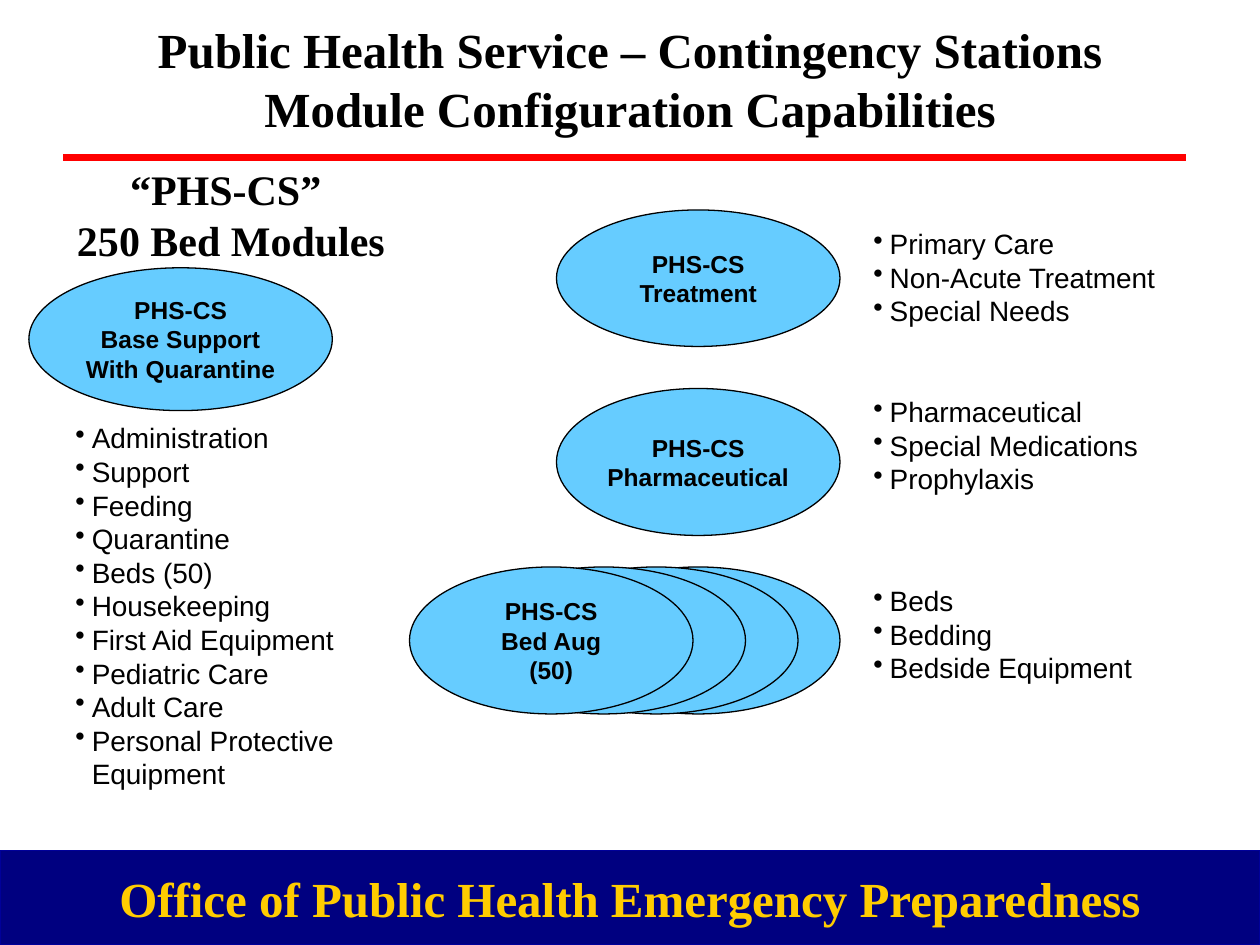
import pptx
import pptx.dml.color
import pptx.enum.shapes
import pptx.enum.text
import pptx.oxml.ns
import pptx.util
from lxml import etree

COLS, ROWS = 120, 90
WIDE, HIGH = pptx.util.Inches(10), pptx.util.Inches(7.5)
SERIF, SANS = "Times New Roman", "Arial"
BLACK, BLUE = "000000", "66CCFF"
KIND = pptx.enum.shapes.MSO_SHAPE
ALIGN = pptx.enum.text.PP_ALIGN
MIDDLE = pptx.enum.text.MSO_ANCHOR.MIDDLE
TOP = pptx.enum.text.MSO_ANCHOR.TOP
FIT = pptx.enum.text.MSO_AUTO_SIZE


def grid(col, row, cols, rows):
    return (round(col * WIDE / COLS), round(row * HIGH / ROWS),
            round(cols * WIDE / COLS), round(rows * HIGH / ROWS))


def color(code):
    return pptx.dml.color.RGBColor.from_string(code)


def bullet(para):
    props = para._p.get_or_add_pPr()
    indent = pptx.util.Inches(0.13)
    props.set("marL", str(indent))
    props.set("indent", str(-indent))
    mark = etree.SubElement(props, pptx.oxml.ns.qn("a:buChar"))
    mark.set("char", "•")


def write(shape, text, size, face=SANS, bold=True, tint=BLACK,
          align=ALIGN.CENTER, anchor=MIDDLE, wrap=True, dots=False):
    frame = shape.text_frame
    frame.text = text
    frame.word_wrap = wrap
    frame.auto_size = FIT.NONE
    frame.vertical_anchor = anchor
    for para in frame.paragraphs:
        if dots:
            bullet(para)
        para.alignment = align
        para.line_spacing = pptx.util.Pt(round(size * 1.2, 1))
        for run in para.runs:
            run.font.size = pptx.util.Pt(size)
            run.font.name = face
            run.font.bold = bold
            run.font.color.rgb = color(tint)


def block(shapes, kind, area, fill, edge):
    shape = shapes.add_shape(kind, *grid(*area))
    shape.shadow.inherit = False
    shape.fill.solid()
    shape.fill.fore_color.rgb = color(fill)
    shape.line.color.rgb = color(edge)
    shape.line.width = pptx.util.Pt(0.75)
    return shape


def oval(shapes, area, text=""):
    shape = block(shapes, KIND.OVAL, area, BLUE, BLACK)
    if text:
        write(shape, text, 14, wrap=False)


def items(shapes, area, names):
    box = shapes.add_textbox(*grid(*area))
    write(box, "\n".join(names), 16, bold=False, align=ALIGN.LEFT,
          anchor=TOP, dots=True)


def rule(shapes, left, right, row):
    x, y, width, _ = grid(left, row, right - left, 0)
    line = shapes.add_connector(
        pptx.enum.shapes.MSO_CONNECTOR.STRAIGHT, x, y, x + width, y)
    line.line.color.rgb = color("FF0000")
    line.line.width = pptx.util.Pt(4.5)
    etree.SubElement(line._element.spPr, pptx.oxml.ns.qn("a:effectLst"))


def head(shapes):
    title = shapes.title
    title.left, title.top, title.width, title.height = grid(9, 0, 102, 15)
    write(title, "Public Health Service – Contingency Stations\v"
          "Module Configuration Capabilities", 28, SERIF)
    rule(shapes, 6, 113, 15)
    label = shapes.add_textbox(*grid(4, 15, 36, 10.8))
    write(label, "“PHS-CS” \n250 Bed Modules", 24, SERIF, anchor=TOP)


def foot(shapes):
    bar = block(shapes, KIND.RECTANGLE, (0, 81, COLS, 9), "000080", "000099")
    write(bar, "Office of Public Health Emergency Preparedness", 28, SERIF,
          tint="FFCC00", wrap=False)


def base(shapes):
    oval(shapes, (2.75, 25.5, 28.9, 13.6),
         "PHS-CS\nBase Support\nWith Quarantine")
    items(shapes, (6, 39.5, 28, 36.4), [
        "Administration", "Support", "Feeding", "Quarantine", "Beds (50)",
        "Housekeeping", "First Aid Equipment", "Pediatric Care",
        "Adult Care", "Personal Protective Equipment"])


def units(shapes):
    oval(shapes, (53, 20, 27, 13), "PHS-CS\nTreatment")
    oval(shapes, (53, 37, 27, 14), "PHS-CS\nPharmaceutical")
    stack = shapes.add_group_shape().shapes
    for col in (53, 49, 44):
        oval(stack, (col, 54, 27, 14))
    oval(stack, (39, 54, 27, 14), "PHS-CS\nBed Aug\n(50)")
    lists = {
        21: ["Primary Care", "Non-Acute Treatment", "Special Needs"],
        37: ["Pharmaceutical", "Special Medications", "Prophylaxis"],
        55: ["Beds", "Bedding", "Bedside Equipment"],
    }
    for row, names in lists.items():
        items(shapes, (82, row, 30, 10.8), names)


def main():
    deck = pptx.Presentation()
    deck.slide_width, deck.slide_height = WIDE, HIGH
    shapes = deck.slides.add_slide(deck.slide_layouts[5]).shapes
    foot(shapes)
    head(shapes)
    base(shapes)
    units(shapes)
    deck.save("out.pptx")


if __name__ == "__main__":
    main()
